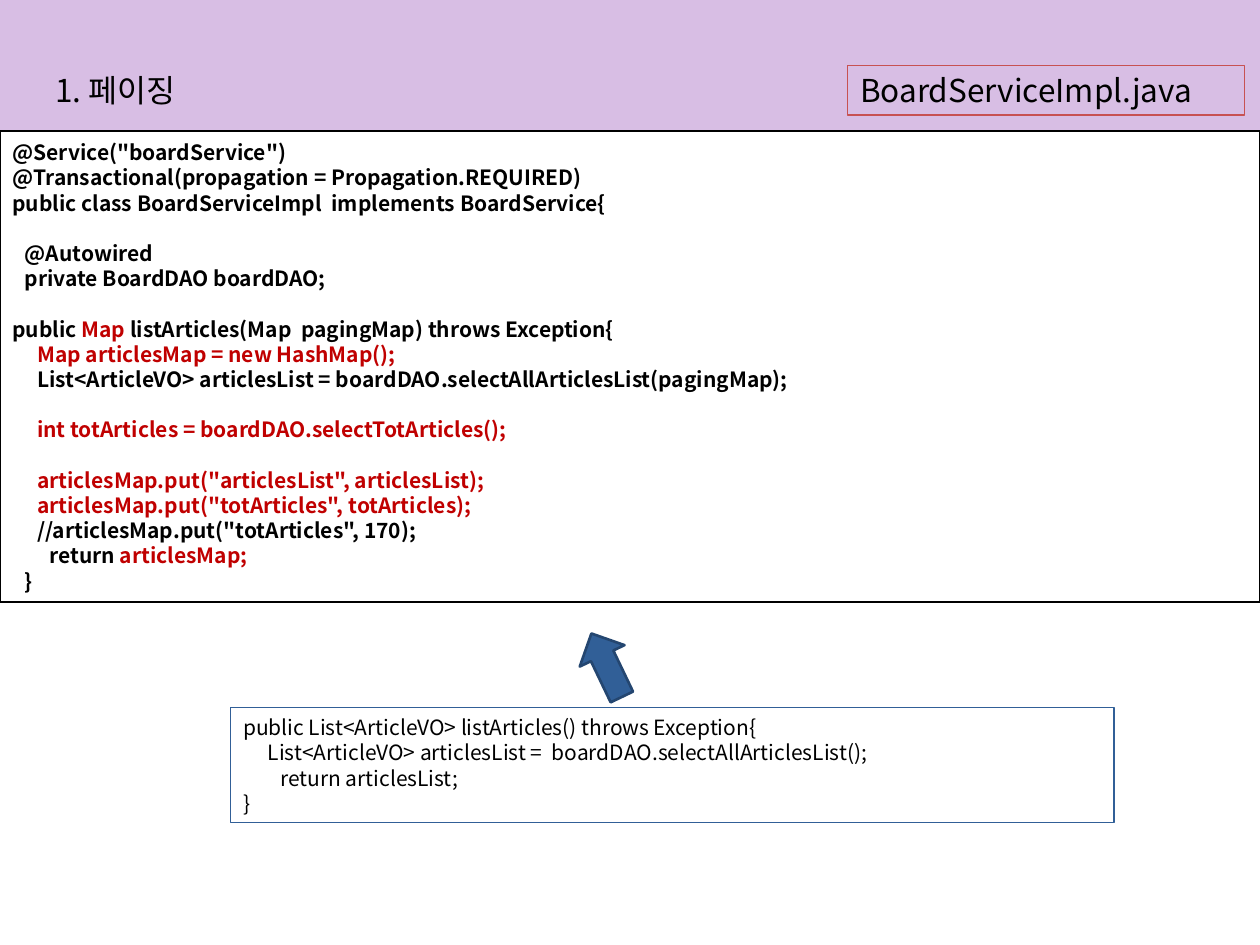
"""Build a slide that shows a paging change in a service class."""
from dataclasses import dataclass

from lxml import etree
from pptx import Presentation
from pptx.dml.color import RGBColor
from pptx.enum.shapes import MSO_SHAPE
from pptx.enum.text import MSO_ANCHOR, PP_ALIGN
from pptx.oxml.ns import qn
from pptx.util import Cm, Pt

RECT = MSO_SHAPE.RECTANGLE
BAND = MSO_SHAPE.FLOWCHART_PROCESS
ARROW = MSO_SHAPE.UP_ARROW
MIDDLE = MSO_ANCHOR.MIDDLE
LEFT = PP_ALIGN.LEFT
FONT = "Noto Sans CJK KR"
BLACK, RED, BLUE = "000000", "C00000", "315F97"
STEP = 0.25


@dataclass
class Line:
    """Code line as alternating black and red bits."""
    bits: list[str]
    level: int = 0
    gap: bool = False


@dataclass
class Box:
    """Text box with its place in centimetres."""
    place: tuple[float, float, float, float]
    lines: list[Line]
    edge: str | None = None
    size: int = 12
    pitch: float = 14.4
    bold: bool = False


BOXES = [
    Box((0, 2.64, 25.4, 9.5), [
        Line(['@Service("boardService")']),
        Line(["@Transactional(propagation = Propagation.REQUIRED)"]),
        Line(["public class BoardServiceImpl  implements BoardService{"]),
        Line(["@Autowired"], 1, True),
        Line(["private BoardDAO boardDAO;"], 1),
        Line(["public ", "Map ", "listArticles(Map  pagingMap) throws Exception{"], 0, True),
        Line(["", "Map articlesMap = new HashMap();"], 2),
        Line(["List<ArticleVO> articlesList = boardDAO.selectAllArticlesList(pagingMap);"], 2),
        Line(["", "int totArticles = boardDAO.selectTotArticles();"], 2, True),
        Line(["", 'articlesMap.put("articlesList", articlesList);'], 2, True),
        Line(["", 'articlesMap.put("totArticles", totArticles);'], 2),
        Line(['//articlesMap.put("totArticles", 170);'], 2),
        Line(["return ", "articlesMap;"], 3),
        Line(["}"], 1),
    ], BLACK, bold=True),
    Box((17.09, 1.32, 8, 1), [Line(["BoardServiceImpl.java"])], "C75252", 18, 21),
    Box((0.86, 1.32, 6.3, 1), [Line(["1. 페이징"])], None, 18, 21),
    Box((4.65, 14.27, 17.81, 2.31), [
        Line(["public List<ArticleVO> listArticles() throws Exception{"]),
        Line(["List<ArticleVO> articlesList =  boardDAO.selectAllArticlesList();"], 2),
        Line(["return articlesList;"], 3),
        Line(["}"]),
    ], BLUE),
]


def tint(code: str) -> RGBColor:
    """Turn a hex string into a colour."""
    return RGBColor.from_string(code)


def draw(slide, kind, place: tuple, fill: str | None = None,
         edge: str | None = None, width: float = 0.75):
    """Add a preset shape with plain fill and line."""
    shape = slide.shapes.add_shape(kind, *map(Cm, place))
    shape.shadow.inherit = False
    if fill:
        shape.fill.solid()
        shape.fill.fore_color.rgb = tint(fill)
    else:
        shape.fill.background()
    if edge:
        shape.line.color.rgb = tint(edge)
        shape.line.width = Pt(width)
    else:
        shape.line.fill.background()
    return shape


def write(para, line: Line, box: Box) -> None:
    """Fill one paragraph with a code line."""
    para.alignment = LEFT
    para.line_spacing = Pt(box.pitch)
    para.space_before = Pt(box.pitch if line.gap else 0)
    props = para._p.get_or_add_pPr()
    props.set("marL", str(Cm(STEP * line.level)))
    props.set("indent", "0")
    for spot, bit in enumerate(line.bits):
        if not bit:
            continue
        run = para.add_run()
        run.text = bit
        font = run.font
        font.name, font.size, font.bold = FONT, Pt(box.size), box.bold
        font.color.rgb = tint(RED if spot % 2 else BLACK)
        etree.SubElement(run._r.get_or_add_rPr(), qn("a:ea"), typeface=FONT)


def place_box(slide, box: Box) -> None:
    """Draw a text box and its lines."""
    if box.edge:
        shape = draw(slide, RECT, box.place, edge=box.edge)
    else:
        shape = slide.shapes.add_textbox(*map(Cm, box.place))
    frame = shape.text_frame
    frame.word_wrap = True
    frame.vertical_anchor = MIDDLE
    for spot, line in enumerate(box.lines):
        para = frame.add_paragraph() if spot else frame.paragraphs[0]
        write(para, line, box)


def main() -> None:
    """Build and save the slide."""
    deck = Presentation()
    deck.slide_width, deck.slide_height = Cm(25.4), Cm(19.05)
    slide = deck.slides.add_slide(deck.slide_layouts[6])
    draw(slide, BAND, (0, 0, 25.4, 2.64), "D8BEE4")
    for box in BOXES:
        place_box(slide, box)
    arrow = draw(slide, ARROW, (11.73, 12.7, 1, 1.42), BLUE, "244670", 1.5)
    arrow.rotation = 334.4
    deck.save("out.pptx")


main()
